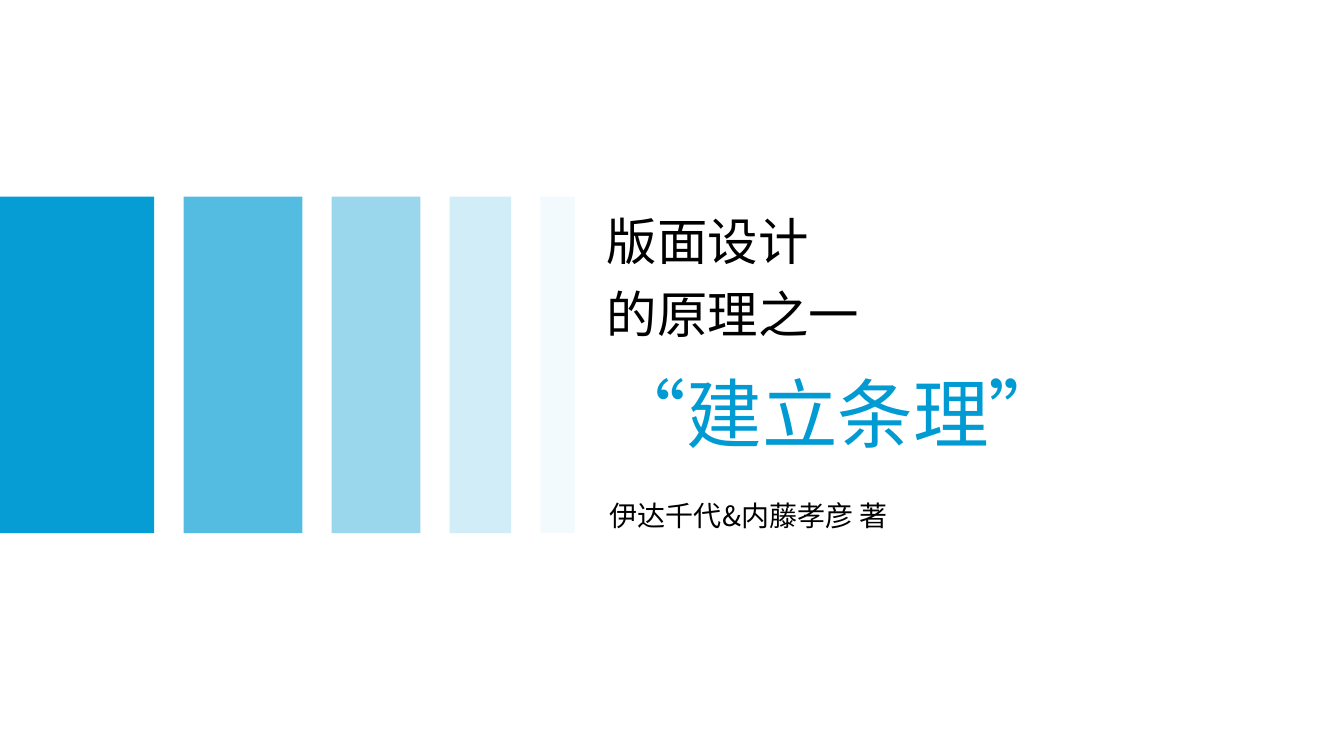
import pptx
import pptx.dml.color
import pptx.enum.shapes
import pptx.enum.text
import pptx.oxml.ns
import pptx.util
import lxml.etree

Inches = pptx.util.Inches
COLORS = {
    "black": "000000",
    "accent": "009BD2",
    "bar_1": "059DD3",
    "bar_2": "55BCE1",
    "bar_3": "9AD7ED",
    "bar_4": "D1EDF7",
    "bar_5": "F3FAFD",
}
CHINESE_FONT = "Noto Sans CJK SC"
JAPANESE_FONT = "Noto Sans CJK JP"


def rgb(name):
    """Return the named colour."""
    return pptx.dml.color.RGBColor.from_string(COLORS[name])


def add_text(slide, box, lines, size, font_name=CHINESE_FONT, color="black", spacing=1.0):
    """Place left-aligned lines of text in a box of inches."""
    shape = slide.shapes.add_textbox(*map(Inches, box))
    frame = shape.text_frame
    frame.word_wrap = True
    frame.auto_size = pptx.enum.text.MSO_AUTO_SIZE.SHAPE_TO_FIT_TEXT
    frame.text = "\n".join(lines)
    for paragraph in frame.paragraphs:
        paragraph.line_spacing = spacing
        font = paragraph.font
        font.size = pptx.util.Pt(size)
        font.color.rgb = rgb(color)
        font.name = font_name
        east_asian = lxml.etree.SubElement(font._element, pptx.oxml.ns.qn("a:ea"))
        east_asian.set("typeface", font_name)


def add_fading_bars(slide, left, top, height):
    """Draw a row of narrowing, fading bars with equal gaps."""
    gap = 0.29
    for number, width in enumerate((1.53, 1.18, 0.88, 0.61, 0.34), start=1):
        bar = slide.shapes.add_shape(
            pptx.enum.shapes.MSO_SHAPE.RECTANGLE,
            *map(Inches, (left, top, width, height)),
        )
        bar.shadow.inherit = False
        bar.fill.solid()
        bar.fill.fore_color.rgb = rgb(f"bar_{number}")
        bar.line.fill.background()
        left += width + gap


def add_title_block(slide, left, top):
    """Place the title, the highlighted principle and the authors."""
    add_text(slide, (left, top, 7.39, 1.56), ["版面设计", "的原理之一"], 36, spacing=1.2)
    add_text(slide, (left + 0.04, top + 1.67, 5.3, 1.01), ["“建立条理”"], 54,
             font_name=JAPANESE_FONT, color="accent")
    add_text(slide, (left + 0.03, top + 2.98, 4.27, 0.44), ["伊达千代&内藤孝彦 著"], 20)


def main():
    """Build and save the cover slide."""
    presentation = pptx.Presentation()
    presentation.slide_width = Inches(13.33)
    presentation.slide_height = Inches(7.5)
    slide = presentation.slides.add_slide(presentation.slide_layouts[6])
    add_fading_bars(slide, 0, 1.95, 3.34)
    add_title_block(slide, 5.92, 1.92)
    presentation.save("out.pptx")


if __name__ == "__main__":
    main()
